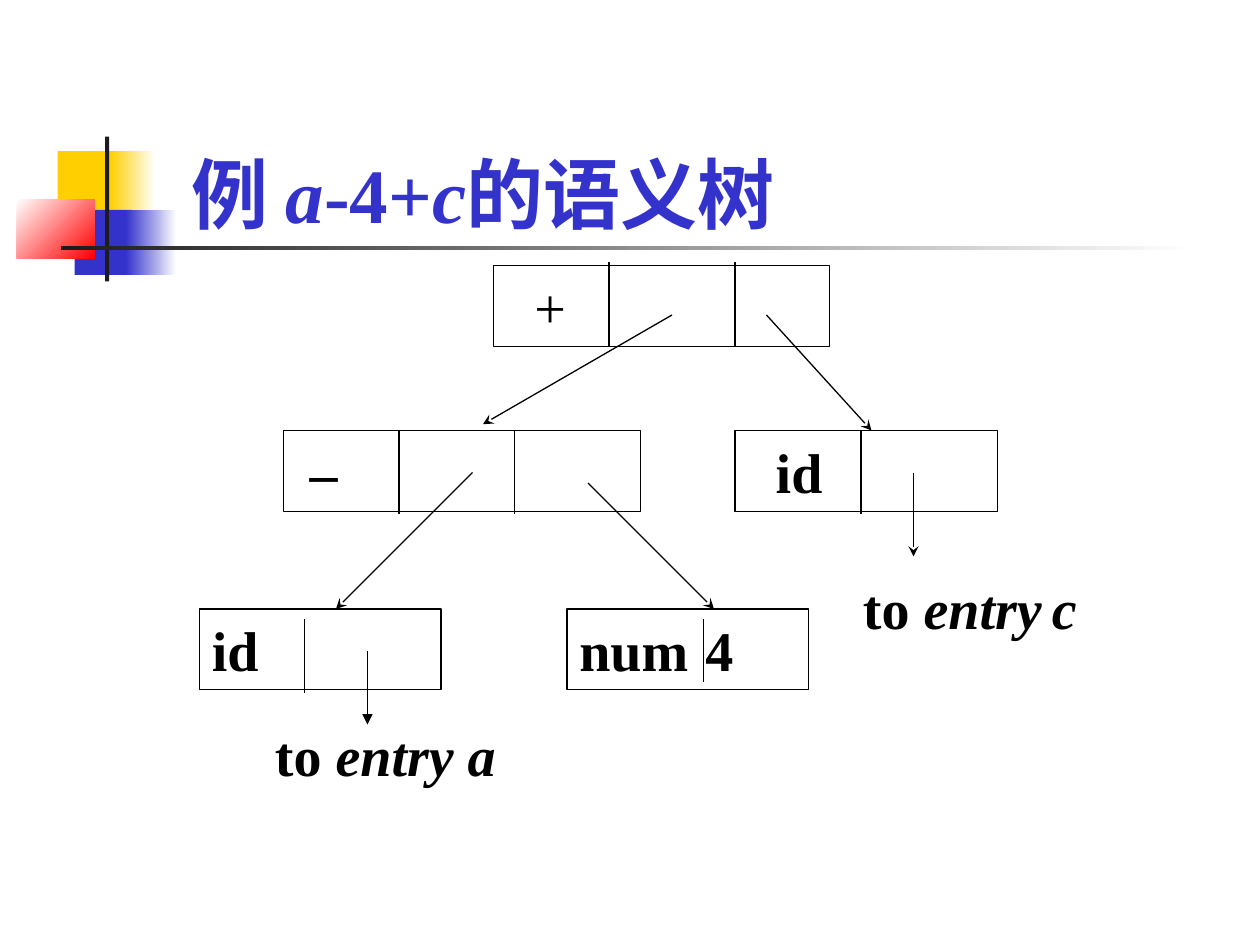
from dataclasses import dataclass

from pptx import Presentation
from pptx.dml.color import RGBColor
from pptx.enum.shapes import MSO_CONNECTOR, MSO_SHAPE
from pptx.enum.text import MSO_ANCHOR, PP_ALIGN
from pptx.oxml.ns import qn
from pptx.util import Emu, Pt
from lxml.etree import SubElement

EMU_PER_PX = 7620  # 120 px to the inch


@dataclass(frozen=True)
class Theme:
    ink: str = "000000"
    paper: str = "FFFFFF"
    blue: str = "3333CC"
    yellow: str = "FFCF01"
    red: str = "FF0000"
    dark: str = "1C1C1C"
    latin: str = "Times New Roman"
    chinese: str = "Noto Sans CJK SC"
    title_size: int = 44
    node_size: int = 32
    line_width: float = 0.75
    node_height: int = 77


def px(value):
    return Emu(value * EMU_PER_PX)


class TreeSlide:
    def __init__(self, deck, theme):
        self.theme = theme
        self.page = deck.slides.add_slide(deck.slide_layouts[5])

    def add_text(self, frame, runs, size, color, indent=0, tab=None):
        """Each run is (text, font name, bold, italic)."""
        frame.word_wrap = True
        frame.vertical_anchor = MSO_ANCHOR.MIDDLE
        frame.margin_left = frame.margin_right = px(12)
        frame.margin_top = frame.margin_bottom = px(6)
        para = frame.paragraphs[0]
        para.alignment = PP_ALIGN.LEFT
        properties = para._p.get_or_add_pPr()
        properties.set("marL", str(px(indent)))
        properties.set("indent", "0")
        if tab:
            stops = SubElement(properties, qn("a:tabLst"))
            SubElement(stops, qn("a:tab"), pos=str(px(tab)), algn="l")
        for text, name, bold, italic in runs:
            span = para.add_run()
            span.text = text
            span.font.name = name
            span.font.size = Pt(size)
            span.font.bold = bold
            span.font.italic = italic
            span.font.color.rgb = RGBColor.from_string(color)
            SubElement(span._r.get_or_add_rPr(), qn("a:ea"), typeface=name)

    def title(self, x, y, width, height, runs):
        box = self.page.shapes.title
        box.left, box.top, box.width, box.height = map(px, (x, y, width, height))
        box.fill.solid()
        box.fill.fore_color.rgb = RGBColor.from_string(self.theme.paper)
        self.add_text(box.text_frame, runs, self.theme.title_size, self.theme.blue)

    def block(self, x, y, width, height, start, end=None, angle=0):
        """Borderless rectangle, plain or fading from start to end."""
        box = self.page.shapes.add_shape(
            MSO_SHAPE.RECTANGLE, px(x), px(y), px(width), px(height))
        box.shadow.inherit = False
        box.line.fill.background()
        if end:
            box.fill.gradient()
            box.fill.gradient_angle = angle
            for stop, color in zip(box.fill.gradient_stops, (start, end)):
                stop.color.rgb = RGBColor.from_string(color)
        else:
            box.fill.solid()
            box.fill.fore_color.rgb = RGBColor.from_string(start)
        return box

    def node(self, x, y, width, text, indent=0, tab=None, bold=True):
        box = self.block(x, y, width, self.theme.node_height, self.theme.paper)
        box.line.color.rgb = RGBColor.from_string(self.theme.ink)
        box.line.width = Pt(self.theme.line_width)
        runs = [(text, self.theme.latin, bold, False)]
        self.add_text(box.text_frame, runs, self.theme.node_size,
                      self.theme.ink, indent, tab)

    def label(self, x, y, width, entry, tab=None):
        box = self.page.shapes.add_textbox(
            px(x), px(y), px(width), px(self.theme.node_height))
        runs = [("to ", self.theme.latin, True, False),
                (entry, self.theme.latin, True, True)]
        self.add_text(box.text_frame, runs, self.theme.node_size,
                      self.theme.ink, tab=tab)

    def line(self, x1, y1, x2, y2, head=None):
        link = self.page.shapes.add_connector(
            MSO_CONNECTOR.STRAIGHT, px(x1), px(y1), px(x2), px(y2))
        link.line.color.rgb = RGBColor.from_string(self.theme.ink)
        link.line.width = Pt(self.theme.line_width)
        properties = link._element.spPr
        if head:
            SubElement(properties.find(qn("a:ln")), qn("a:tailEnd"), type=head)
        SubElement(properties, qn("a:effectLst"))


def main():
    theme = Theme()
    deck = Presentation()
    deck.slide_width, deck.slide_height = px(1200), px(900)
    tree = TreeSlide(deck, theme)

    # Corner ornament and title rule
    tree.block(55, 144, 58, 62, theme.yellow)
    tree.block(105, 144, 43, 62, theme.yellow, theme.paper)
    tree.block(71, 200, 55, 62, theme.blue)
    tree.block(120, 200, 48, 62, theme.blue, theme.paper)
    tree.block(16, 190, 74, 56, theme.paper, theme.red, angle=315)
    tree.block(100, 130, 4, 138, theme.dark)
    tree.block(58, 234, 1080, 4, theme.dark, theme.paper)

    # Title
    tree.title(170, 133, 836, 101, [
        ("例 ", theme.chinese, True, False),
        ("a", theme.latin, True, True),
        ("-4+", theme.latin, True, False),
        ("c", theme.latin, True, True),
        ("的语义树", theme.chinese, True, False),
    ])

    # Tree nodes, root first
    tree.node(470, 253, 320, "+", indent=27, bold=False)
    tree.node(270, 410, 340, "–", indent=13)
    tree.node(700, 410, 250, "id", indent=27)
    tree.node(190, 580, 230, "id")
    tree.node(540, 580, 230, "num\t4", tab=155)

    # Field dividers: x, top, bottom
    for x, top, bottom in [(580, 250, 330), (700, 250, 330),
                           (380, 410, 490), (490, 410, 490), (820, 410, 490),
                           (290, 590, 660), (670, 590, 650)]:
        tree.line(x, top, x, bottom)

    # Pointers to child nodes and symbol table entries
    for ends in [(640, 300, 460, 404), (730, 300, 830, 410),
                 (450, 450, 320, 580), (560, 460, 680, 580),
                 (870, 450, 870, 530)]:
        tree.line(*ends, head="stealth")
    tree.line(350, 620, 350, 690, head="triangle")

    # Symbol table entries
    tree.label(250, 680, 250, "entry a")
    tree.label(810, 540, 270, "entry\tc", tab=197)

    deck.save("out.pptx")


if __name__ == "__main__":
    main()
